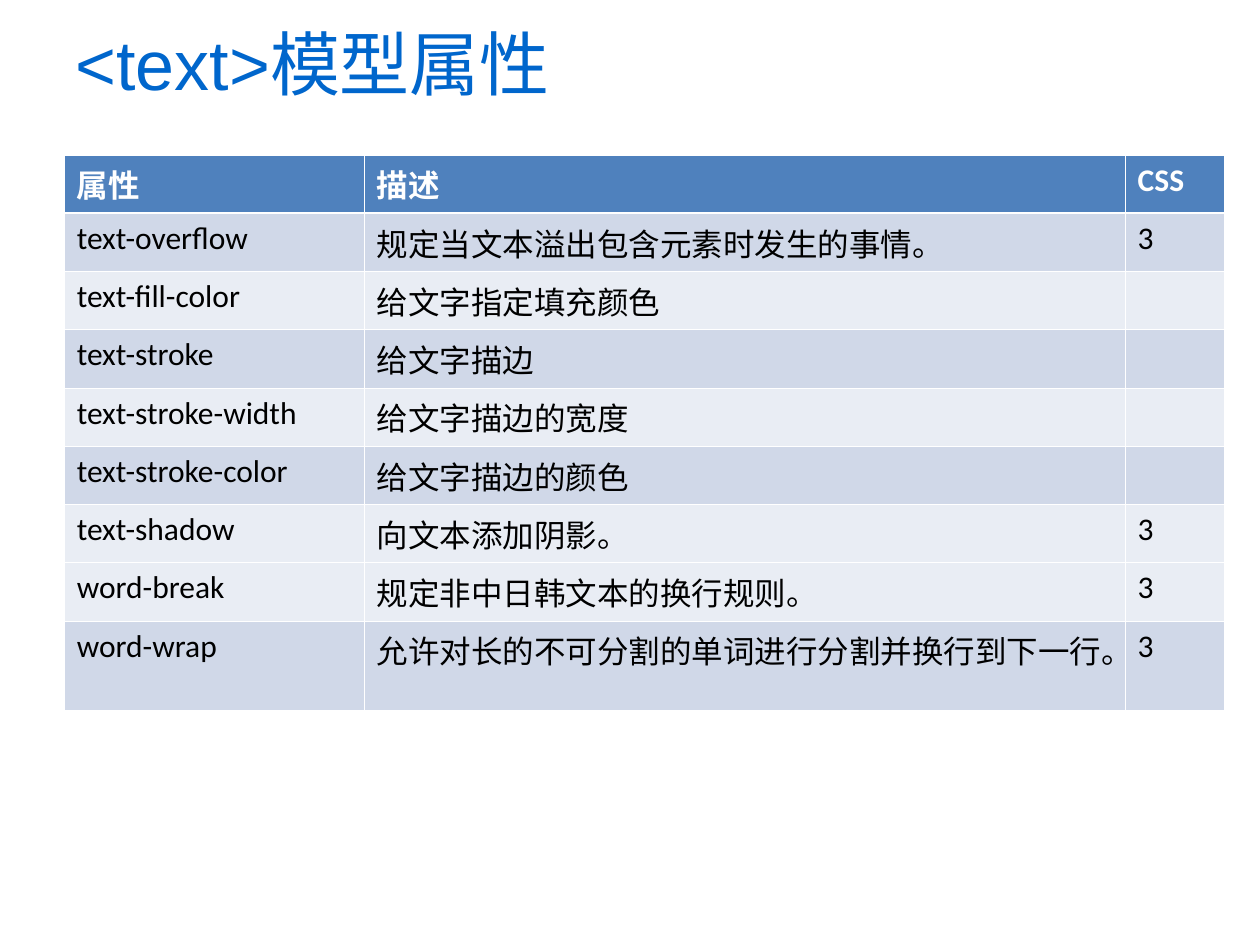
import pptx
import pptx.dml.color
import pptx.enum.text
import pptx.oxml
import pptx.oxml.ns
import pptx.util
from pptx.util import Inches

WHITE, BLUE = "FFFFFF", "0066CC"
HEAD, DARK, LIGHT = "4F81BD", "D0D8E8", "E9EDF4"
THIN, THICK = 0.45, 1.47

ROWS = [
    ("属性", "描述", "CSS", HEAD),
    ("text-overflow", "规定当文本溢出包含元素时发生的事情。", "3", DARK),
    ("text-fill-color", "给文字指定填充颜色", "", LIGHT),
    ("text-stroke", "给文字描边", "", DARK),
    ("text-stroke-width", "给文字描边的宽度", "", LIGHT),
    ("text-stroke-color", "给文字描边的颜色", "", DARK),
    ("text-shadow", "向文本添加阴影。", "3", LIGHT),
    ("word-break", "规定非中日韩文本的换行规则。", "3", LIGHT),
    ("word-wrap", "允许对长的不可分割的单词进行分割并换行到下一行。", "3", DARK),
]
COLS = (2.38, 6.04, 0.79)


def color(code):
    return pptx.dml.color.RGBColor.from_string(code)


def write(frame, text, size=18, font="Calibri", ink="000000", bold=False, before=0):
    para = frame.paragraphs[0]
    para.alignment = pptx.enum.text.PP_ALIGN.LEFT
    para.space_before = pptx.util.Pt(before)
    run = para.add_run()
    run.text = text
    run.font.size = pptx.util.Pt(size)
    run.font.name = font
    run.font.bold = bold
    run.font.color.rgb = color(ink)


def border(cell, side, width):
    line = pptx.oxml.parse_xml(
        f'<a:ln{side} {pptx.oxml.ns.nsdecls("a")} w="{pptx.util.Pt(width)}">'
        f'<a:solidFill><a:srgbClr val="{WHITE}"/></a:solidFill></a:ln{side}>'
    )
    cell._tc.get_or_add_tcPr().append(line)


def add_title(slide, left, top, width, height):
    title = slide.shapes.title
    title.left, title.top = Inches(left), Inches(top)
    title.width, title.height = Inches(width), Inches(height)
    frame = title.text_frame
    frame.auto_size = pptx.enum.text.MSO_AUTO_SIZE.NONE
    frame.vertical_anchor = pptx.enum.text.MSO_ANCHOR.MIDDLE
    write(frame, "<text>模型属性", size=40, font="Arial", ink=BLUE)


def add_grid(slide, left, top, width, height):
    """Place the property table; the last row takes the height left over."""
    step = 0.4
    last = len(ROWS) - 1
    table = slide.shapes.add_table(
        len(ROWS), len(COLS),
        Inches(left), Inches(top), Inches(width), Inches(height),
    ).table
    for col, size in zip(table.columns, COLS):
        col.width = Inches(size)
    for i, (*texts, fill) in enumerate(ROWS):
        table.rows[i].height = Inches(step if i < last else height - step * last)
        for j, text in enumerate(texts):
            cell = table.cell(i, j)
            for side in "LRTB":
                heavy = (i, side) in ((0, "B"), (1, "T"))
                border(cell, side, THICK if heavy else THIN)
            cell.fill.solid()
            cell.fill.fore_color.rgb = color(fill)
            if text:
                write(cell.text_frame, text, ink="000000" if i else WHITE,
                      bold=i == 0, before=4.5)


def main():
    deck = pptx.Presentation()
    deck.slide_width, deck.slide_height = Inches(10), Inches(7.5)
    slide = deck.slides.add_slide(deck.slide_layouts[5])
    add_title(slide, 0.5, 0, 7.65, 1)
    add_grid(slide, 0.51, 1.23, sum(COLS), 3.91)
    deck.save("out.pptx")


if __name__ == "__main__":
    main()
